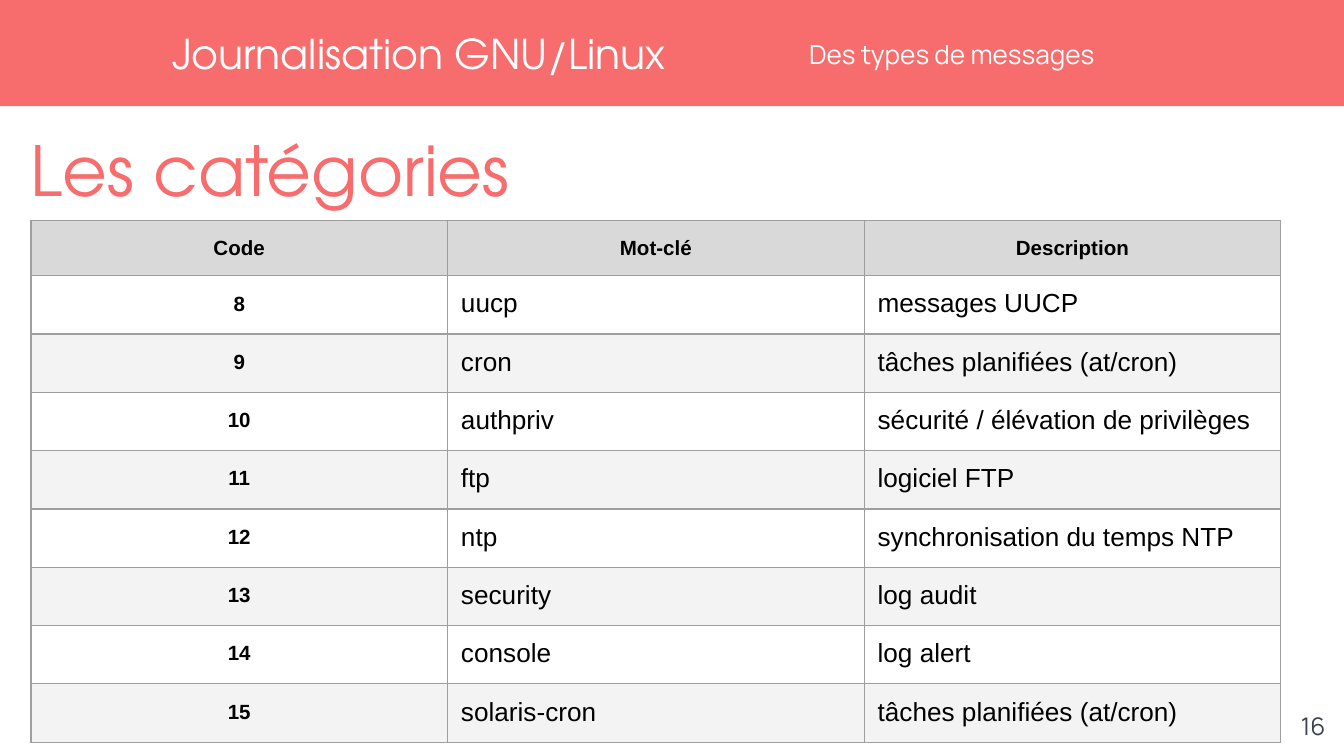
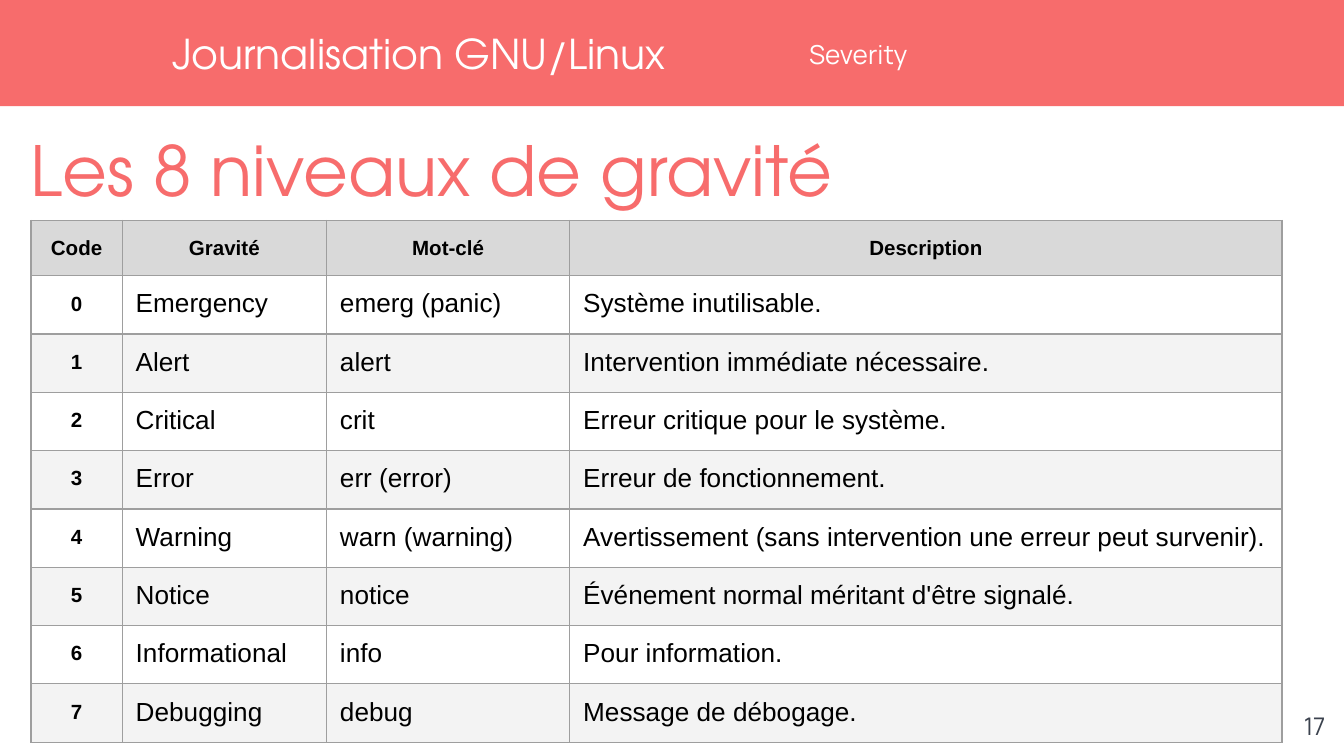
from lxml.etree import SubElement
from pptx import Presentation
from pptx.dml.color import RGBColor
from pptx.enum.shapes import MSO_SHAPE
from pptx.enum.text import MSO_ANCHOR, PP_ALIGN
from pptx.oxml.ns import qn
from pptx.util import Inches, Pt

COLORS = {
    "coral": "F76C6C", "white": "FFFFFF", "black": "000000", "slate": "3B424E",
    "header": "D9D9D9", "band": "F3F3F3", "border": "9E9E9E",
}
TITLE_FONT, BODY_FONT, TABLE_FONT = "TeX Gyre Adventor", "Manrope", "Arial"
COURSE = "Journalisation GNU/Linux"
ROW_HEIGHTS = [0.35, 0.32, 0.36, 0.3, 0.23, 0.43, 0.11, 0.43, 0.43]
FRAME_SIZE = 3.28

SLIDES = [
    {
        "number": 16,
        "topic": "Des types de messages",
        "title": "Les catégories",
        "widths": [3.1, 3.1, 3.1],
        "rows": [
            ("Code", "Mot-clé", "Description"),
            ("8", "uucp", "messages UUCP"),
            ("9", "cron", "tâches planifiées (at/cron)"),
            ("10", "authpriv", "sécurité / élévation de privilèges"),
            ("11", "ftp", "logiciel FTP"),
            ("12", "ntp", "synchronisation du temps NTP"),
            ("13", "security", "log audit"),
            ("14", "console", "log alert"),
            ("15", "solaris-cron", "tâches planifiées (at/cron)"),
        ],
    },
    {
        "number": 17,
        "topic": "Severity",
        "title": "Les 8 niveaux de gravité",
        "widths": [0.68, 1.52, 1.81, 5.3],
        "rows": [
            ("Code", "Gravité", "Mot-clé", "Description"),
            ("0", "Emergency", "emerg (panic)", "Système inutilisable."),
            ("1", "Alert", "alert", "Intervention immédiate nécessaire."),
            ("2", "Critical", "crit", "Erreur critique pour le système."),
            ("3", "Error", "err (error)", "Erreur de fonctionnement."),
            ("4", "Warning", "warn (warning)",
             "Avertissement (sans intervention une erreur peut survenir)."),
            ("5", "Notice", "notice", "Événement normal méritant d'être signalé."),
            ("6", "Informational", "info", "Pour information."),
            ("7", "Debugging", "debug", "Message de débogage."),
        ],
    },
]


def rgb(name):
    return RGBColor.from_string(COLORS[name])


def set_font(p, name, size, color, bold=False):
    font = p.font
    font.name, font.size, font.bold = name, Pt(size), bold
    font.color.rgb = rgb(color)


def set_margins(obj, inset):
    obj.margin_left = obj.margin_right = Inches(inset)
    obj.margin_top = obj.margin_bottom = Inches(inset)


def add_text(s, text, box, font, size, color, anchor=MSO_ANCHOR.TOP,
             align=PP_ALIGN.LEFT, inset=0):
    tf = s.shapes.add_textbox(*map(Inches, box)).text_frame
    tf.word_wrap = True
    tf.vertical_anchor = anchor
    set_margins(tf, inset)
    p = tf.paragraphs[0]
    p.text, p.alignment = text, align
    set_font(p, font, size, color)


def add_band(s):
    band = s.shapes.add_shape(MSO_SHAPE.RECTANGLE, Inches(-0.02), 0,
                              Inches(10.04), Inches(0.79))
    band.shadow.inherit = False
    band.fill.solid()
    band.fill.fore_color.rgb = rgb("coral")
    band.line.fill.background()


def add_borders(cell):
    """Draw a thin line on all four sides; call before the fill is set."""
    tc_pr = cell._tc.get_or_add_tcPr()
    for side in ("a:lnL", "a:lnR", "a:lnT", "a:lnB"):
        ln = SubElement(tc_pr, qn(side), w=str(Pt(0.75)))
        fill = SubElement(ln, qn("a:solidFill"))
        SubElement(fill, qn("a:srgbClr"), val=COLORS["border"])


def style_cell(cell, text, row, col):
    set_margins(cell, 0.1)
    add_borders(cell)
    if row % 2:
        cell.fill.background()
    else:
        cell.fill.solid()
        cell.fill.fore_color.rgb = rgb("band" if row else "header")
    p = cell.text_frame.paragraphs[0]
    p.text = text
    is_label = row == 0 or col == 0
    if is_label:
        p.alignment = PP_ALIGN.CENTER
        p.line_spacing = 1.15
    set_font(p, TABLE_FONT, 11 if is_label else 14, "black", is_label)


def add_grid(s, rows, widths):
    frame = s.shapes.add_table(
        len(rows), len(widths), Inches(0.23), Inches(1.64),
        Inches(FRAME_SIZE), Inches(FRAME_SIZE))
    table = frame.table
    table.first_row = table.horz_banding = False
    for column, width in zip(table.columns, widths):
        column.width = Inches(width)
    for row, height in zip(table.rows, ROW_HEIGHTS):
        row.height = Inches(height)
    # Changing rows and columns resizes the frame, so its size is set last.
    frame.width = frame.height = Inches(FRAME_SIZE)
    for i, texts in enumerate(rows):
        for j, text in enumerate(texts):
            style_cell(table.cell(i, j), text, i, j)


def add_slide(prs, content):
    s = prs.slides.add_slide(prs.slide_layouts[6])
    add_band(s)
    add_text(s, content["topic"], (6.02, 0.21, 3.84, 0.39), BODY_FONT, 14,
             "white", MSO_ANCHOR.MIDDLE)
    add_text(s, COURSE, (1.28, 0, 4.69, 0.79), TITLE_FONT, 22,
             "white", MSO_ANCHOR.MIDDLE)
    add_text(s, content["title"], (0.23, 0.95, 9.26, 0.58), TITLE_FONT, 37, "coral")
    add_text(s, str(content["number"]), (9.36, 5.19, 0.6, 0.43), BODY_FONT, 13,
             "slate", align=PP_ALIGN.RIGHT, inset=0.1)
    add_grid(s, content["rows"], content["widths"])


def main():
    prs = Presentation()
    prs.slide_width = Inches(10)
    prs.slide_height = prs.slide_width * 9 // 16
    for content in SLIDES:
        add_slide(prs, content)
    prs.save("out.pptx")


if __name__ == "__main__":
    main()
